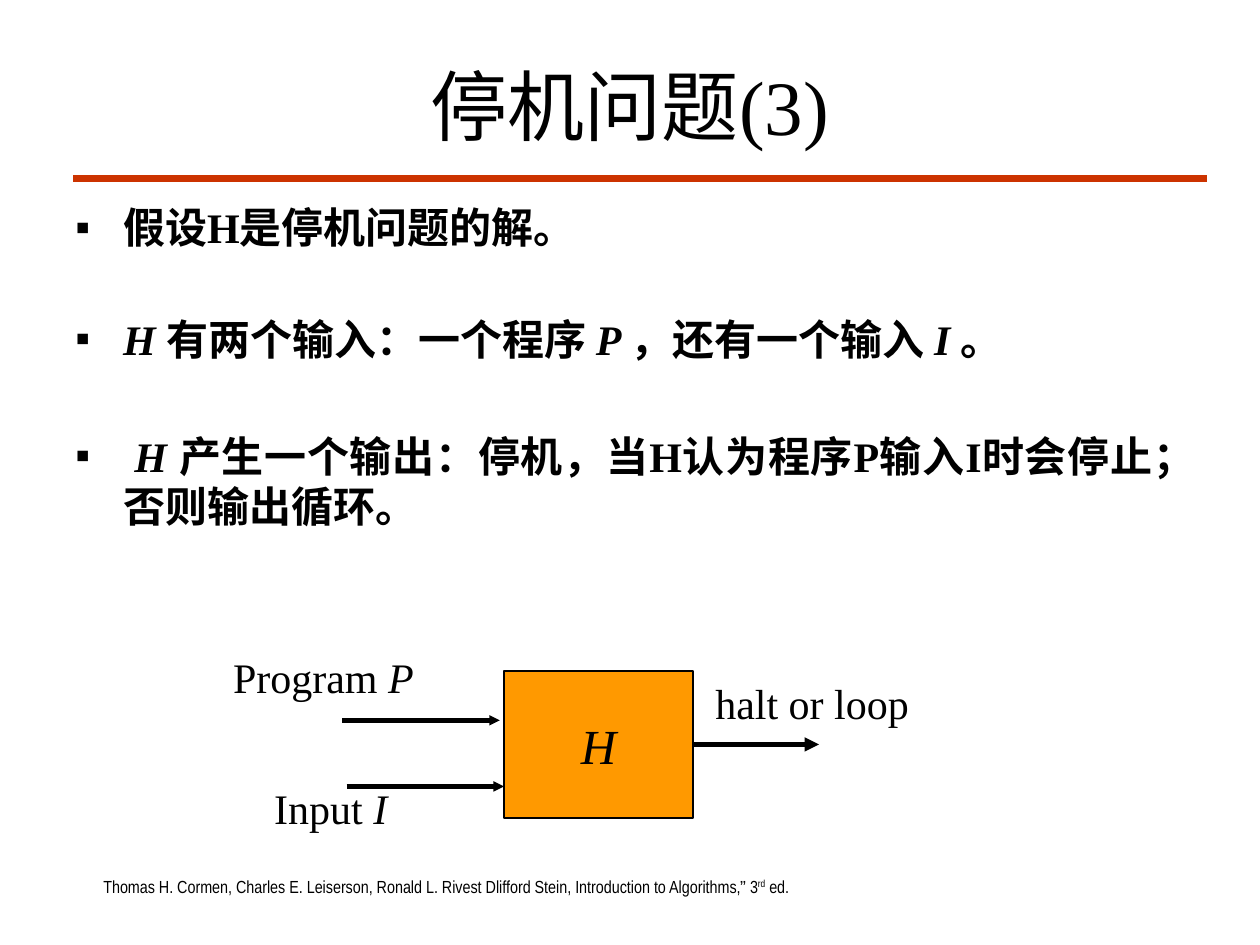
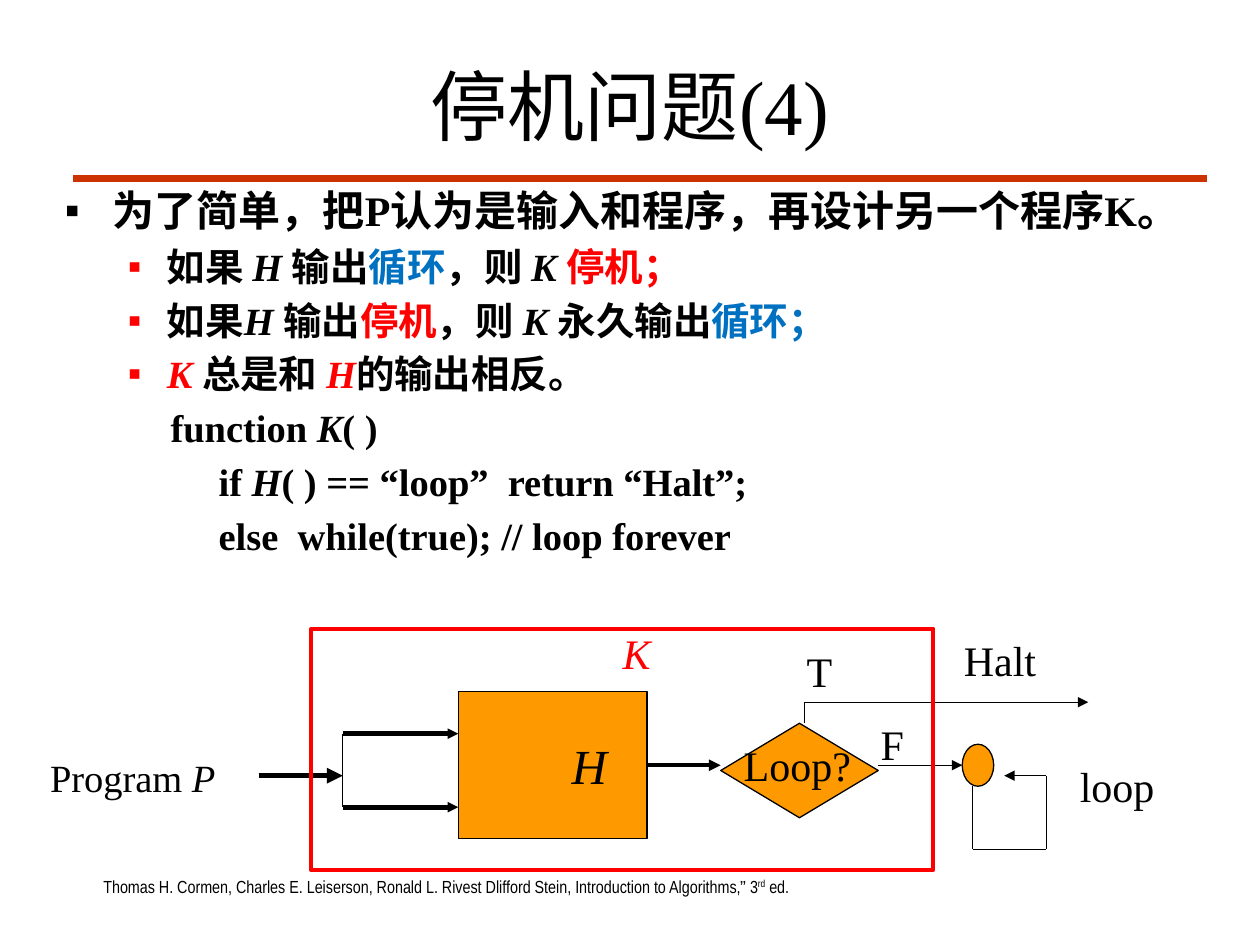
from dataclasses import dataclass
from itertools import pairwise

from lxml import etree
from pptx import Presentation
from pptx import util as u
from pptx.dml.color import RGBColor
from pptx.enum import shapes, text
from pptx.oxml import ns


@dataclass(frozen=True)
class Theme:
    black: str = "000000"
    red: str = "FF0000"
    blue: str = "0070C0"
    orange: str = "FF9900"
    rule: str = "CC3300"
    serif: str = "Times New Roman"
    sans: str = "Arial"
    narrow: str = "Arial Narrow"
    title: int = 44
    symbol: int = 28
    body: int = 24
    detail: int = 22
    credit: int = 10
    thin: float = 0.75
    medium: float = 2.25
    thick: float = 3


THEME = Theme()
COLUMNS = 120  # twelve cells to the inch; 90 rows
CELL = u.Inches(10) / COLUMNS

ITALIC = {"italic": True}
RED = {"color": THEME.red}
BLUE = {"color": THEME.blue}
RED_ITALIC = RED | ITALIC
SHAPE = shapes.MSO_SHAPE
ALIGN = text.PP_ALIGN


@dataclass
class Canvas:
    """A page with the cell from which positions are counted."""
    page: object
    left: float = 0
    top: float = 0

    def point(self, column, row):
        return round((self.left + column) * CELL), round((self.top + row) * CELL)

    def area(self, column, row, width, height):
        return *self.point(column, row), round(width * CELL), round(height * CELL)


# Text
def add_span(para, content, style):
    span = para.add_run()
    span.text = content
    values = {"name": THEME.serif, "color": THEME.black} | style
    baseline = values.pop("baseline", None)
    span.font.color.rgb = RGBColor.from_string(values.pop("color"))
    values["size"] = u.Pt(values["size"])
    for name, value in values.items():
        setattr(span.font, name, value)
    if baseline:
        span.font._element.set("baseline", str(baseline))


def fill_para(para, spans, **style):
    """Spans are plain strings or (string, style) pairs."""
    for span in spans:
        content, own = (span, {}) if isinstance(span, str) else span
        add_span(para, content, style | own)


def add_label(canvas, place, spans, wrap=False, **style):
    """Centred text; without side margins a short label never breaks."""
    box = canvas.page.shapes.add_textbox(*canvas.area(*place))
    frame = box.text_frame
    frame.word_wrap = wrap
    frame.margin_left = frame.margin_right = 0
    para = frame.paragraphs[0]
    para.alignment = ALIGN.CENTER
    fill_para(para, spans, **{"size": THEME.body} | style)


def add_bullet(para, color):
    props = para._p.get_or_add_pPr()
    tint = etree.SubElement(props, ns.qn("a:buClr"))
    etree.SubElement(tint, ns.qn("a:srgbClr"), val=color)
    etree.SubElement(props, ns.qn("a:buFont"), typeface=THEME.sans)
    etree.SubElement(props, ns.qn("a:buChar"), char="▪")


def add_body(canvas, place, items):
    """Each item is (spans, margin, hanging, bullet colour, size, paragraph values)."""
    box = canvas.page.shapes.add_textbox(*canvas.area(*place))
    frame = box.text_frame
    frame.word_wrap = True
    for index, (spans, margin, hanging, bullet, size, values) in enumerate(items):
        para = frame.paragraphs[0] if index == 0 else frame.add_paragraph()
        props = para._p.get_or_add_pPr()
        props.set("marL", str(u.Inches(margin)))
        props.set("indent", str(u.Inches(-hanging)))
        if bullet:
            add_bullet(para, bullet)
        if index:
            para.space_before = u.Pt(size * 0.2)
        for name, value in values.items():
            setattr(para, name, value)
        fill_para(para, spans, size=size, bold=True)


def main_item(spans, **values):
    return spans, 0.38, 0.38, THEME.black, THEME.body, values


def sub_item(spans):
    return spans, 0.81, 0.31, THEME.red, THEME.detail, {}


def code_line(*spans):
    return spans, 0.67, 0.67, None, THEME.detail, {}


# Shapes and lines
def add_figure(canvas, kind, place, fill=THEME.orange, line=THEME.black, weight=THEME.thin):
    shape = canvas.page.shapes.add_shape(kind, *canvas.area(*place))
    shape.shadow.inherit = False
    if fill:
        shape.fill.solid()
        shape.fill.fore_color.rgb = RGBColor.from_string(fill)
    else:
        shape.fill.background()
    shape.line.color.rgb = RGBColor.from_string(line)
    shape.line.width = u.Pt(weight)
    return shape


def add_machine(canvas, column, row, shift=0):
    """The box H; shift moves its letter to the right, in inches."""
    box = add_figure(canvas, SHAPE.RECTANGLE, (column, row, 18, 14))
    frame = box.text_frame
    frame.margin_left = u.Inches(0.1 + 2 * shift)
    frame.vertical_anchor = text.MSO_ANCHOR.MIDDLE
    para = frame.paragraphs[0]
    para.alignment = ALIGN.CENTER
    fill_para(para, [("H", ITALIC)], size=THEME.symbol)
    return box


def add_route(canvas, points, weight=THEME.thin, head=None, color=THEME.black):
    """Straight lines through the points; head is the arrowhead size at the last one."""
    for start, end in pairwise(points):
        line = canvas.page.shapes.add_connector(
            shapes.MSO_CONNECTOR.STRAIGHT, *canvas.point(*start), *canvas.point(*end))
        line.line.color.rgb = RGBColor.from_string(color)
        line.line.width = u.Pt(weight)
        etree.SubElement(line._element.spPr, ns.qn("a:effectLst"))
    if head:
        etree.SubElement(line.line._get_or_add_ln(), ns.qn("a:tailEnd"),
                         type="triangle", w=head, len=head)
    return line


# What the slides share
def add_page(deck, number):
    canvas = Canvas(deck.slides.add_slide(deck.slide_layouts[5]))
    add_route(canvas, [(7, 17), (115, 17)], 4.5, color=THEME.rule)
    add_label(canvas, (8, 82.8, 69, 4), [
        "Thomas H. Cormen, Charles E. Leiserson, Ronald L. Rivest Dlifford Stein, "
        "Introduction to Algorithms,",
        ("”", {"name": THEME.sans}), " 3", ("rd", {"baseline": 30000}), " ed.",
    ], wrap=True, name=THEME.narrow, size=THEME.credit)
    title = canvas.page.shapes.title
    title.left, title.top, title.width, title.height = canvas.area(9, 4, 102, 12)
    title.text_frame.auto_size = text.MSO_AUTO_SIZE.NONE
    title.text_frame.vertical_anchor = text.MSO_ANCHOR.MIDDLE
    para = title.text_frame.paragraphs[0]
    para.alignment = ALIGN.CENTER
    fill_para(para, [f"停机问题({number})"], size=THEME.title)
    return canvas


def build_assumption(deck):
    canvas = add_page(deck, 3)
    add_body(canvas, (6, 19.1, 109, 33.6), [
        main_item(["假设H是停机问题的解。"], line_spacing=0.9),
        main_item([("H ", ITALIC), "有两个输入：一个程序 ", ("P ", ITALIC),
                   "，还有一个输入 ", ("I ", ITALIC), "。"],
                  alignment=ALIGN.JUSTIFY, space_before=u.Pt(35)),
        main_item([" ", ("H ", ITALIC),
                   "产生一个输出：停机，当H认为程序P输入I时会停止；否则输出循环。"],
                  alignment=ALIGN.JUSTIFY, space_before=u.Pt(38)),
    ])
    # Machine with two inputs and one output
    machine = add_machine(canvas, 48, 63.9)
    add_route(canvas, [(32.6, 68.6), (47.6, 68.6)], THEME.thick, "sm")
    add_route(canvas, [(33, 74.9), (48, 74.9)], THEME.thick, "sm")
    output = add_route(canvas, [(66, 70.9), (78, 70.9)], 2.75, "med")
    output.begin_connect(machine, 3)
    add_label(canvas, (20.2, 61.5, 21.2, 6), ["Program ", ("P", ITALIC)])
    add_label(canvas, (24.2, 73.9, 14.6, 6), ["Input ", ("I", ITALIC)])
    add_label(canvas, (66.2, 63.9, 22.3, 6), ["halt or loop"])


def build_contradiction(deck):
    canvas = add_page(deck, 4)
    add_body(canvas, (5, 17, 110, 43), [
        main_item(["为了简单，把P认为是输入和程序，再设计另一个程序K。"]),
        sub_item(["如果 ", ("H ", ITALIC), "输出", ("循环", BLUE), "，则 ",
                  ("K ", ITALIC), ("停机；", RED)]),
        sub_item(["如果", ("H ", ITALIC), "输出", ("停机", RED), "，则 ",
                  ("K ", ITALIC), "永久输出", ("循环；", BLUE)]),
        sub_item([("K ", RED_ITALIC), "总是和 ", ("H", RED_ITALIC), "的输出相反。"]),
        code_line("           function ", ("K", ITALIC), "( )"),
        code_line("                if ", ("H", ITALIC), "( ) == “loop”  return “Halt”;"),
        code_line("                else  while(true); // loop forever"),
    ])
    # Flow of program K
    flow = Canvas(canvas.page, 2.64, 59.88)
    add_figure(flow, SHAPE.FLOWCHART_DECISION, (66, 9, 15, 9))
    machine = add_machine(flow, 41, 6, shift=0.29)
    for row in (10, 17):
        add_route(flow, [(30, row), (41, row)], THEME.thick, "sm")
    result = add_route(flow, [(59, 13), (66, 13)], THEME.medium, "med")
    result.begin_connect(machine, 3)
    add_route(flow, [(30, 10), (30, 17)])
    add_route(flow, [(22, 14), (30, 14)], THEME.thick, "med")
    # Outcomes: halt on true, an endless loop on false
    add_route(flow, [(81, 13), (89, 13)], head="med")
    add_figure(flow, SHAPE.OVAL, (89, 11, 3, 4))
    add_route(flow, [(90, 15), (90, 21), (97, 21), (97, 14), (93, 14)], head="med")
    add_route(flow, [(74, 9), (74, 7), (101, 7)], head="med")
    add_figure(flow, SHAPE.RECTANGLE, (27, 0, 59.25, 23),
               fill=None, line=THEME.red, weight=THEME.medium)
    add_label(flow, (0, 11.3, 20, 5.6), ["Program ", ("P", ITALIC)], size=THEME.detail)
    for place, word in [((67, 10, 12.6, 6), "Loop?"), ((88, 0, 9.2, 6), "Halt"),
                        ((80, 8, 4.7, 6), "F"), ((99, 12, 9.5, 6), "loop"),
                        ((73, 1, 4.8, 6), "T")]:
        add_label(flow, place, [word])
    add_label(flow, (55.4, -0.7, 5.2, 6), [("K", RED_ITALIC)])


def main():
    deck = Presentation()
    deck.slide_width, deck.slide_height = u.Inches(10), u.Inches(7.5)
    build_assumption(deck)
    build_contradiction(deck)
    deck.save("out.pptx")


if __name__ == "__main__":
    main()
